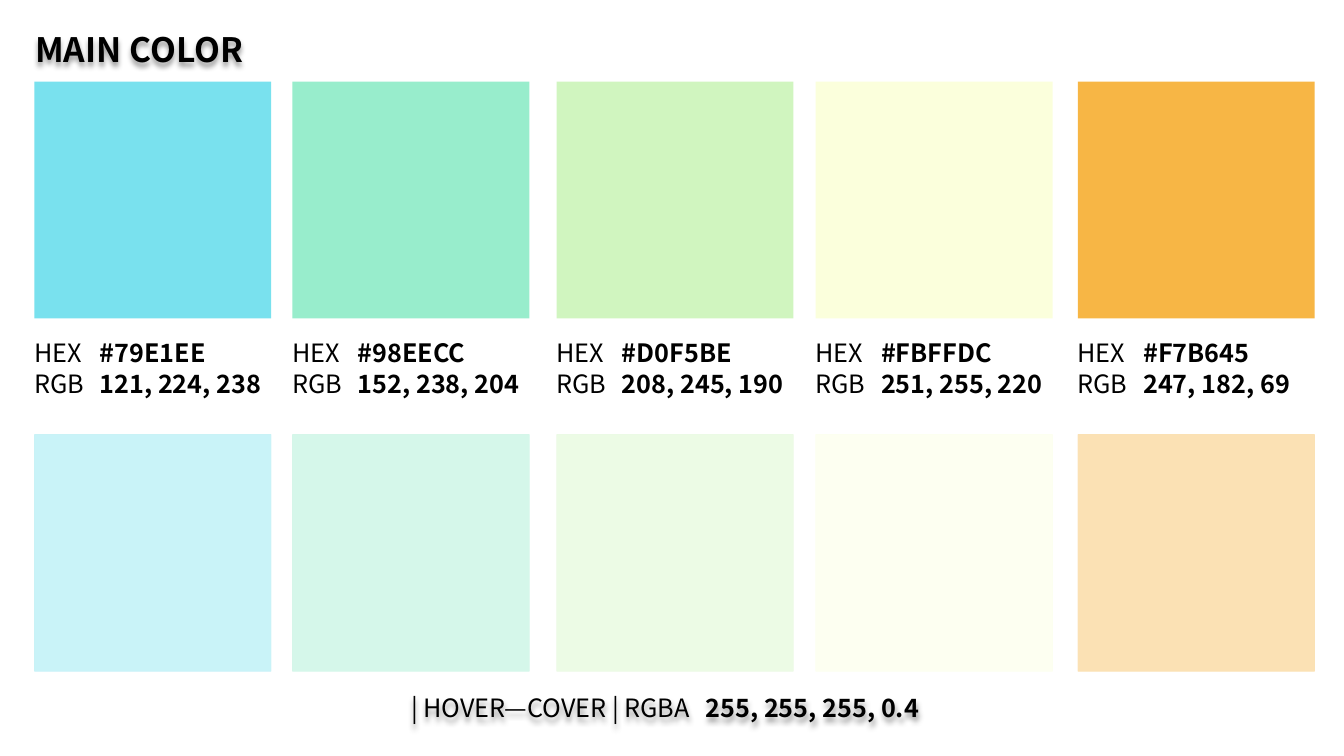
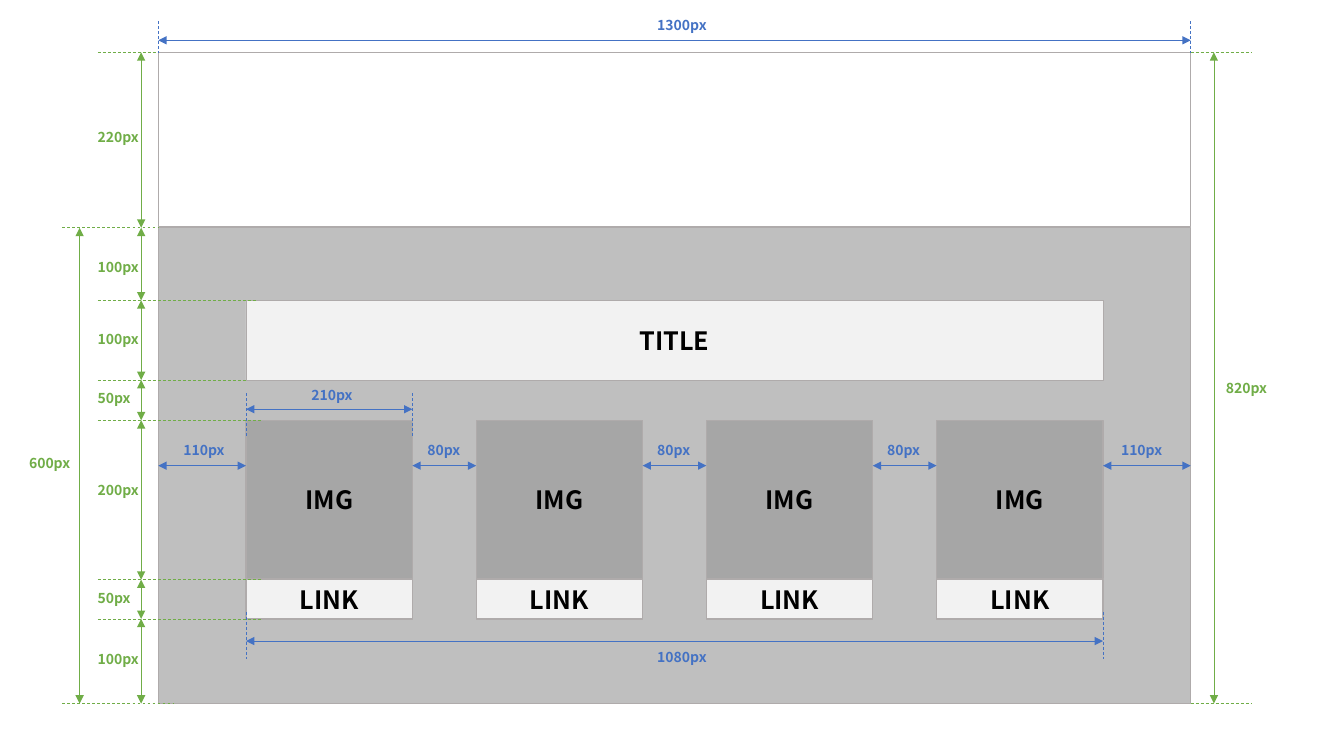
from lxml.etree import SubElement
from pptx import Presentation
from pptx.dml.color import RGBColor
from pptx.enum.dml import MSO_LINE_DASH_STYLE as Dash
from pptx.enum.shapes import MSO_CONNECTOR as Connector, MSO_SHAPE as Shape
from pptx.enum.text import MSO_ANCHOR as Anchor, MSO_AUTO_SIZE as AutoSize, PP_ALIGN as Align
from pptx.oxml.ns import qn
from pptx.util import Pt

PX = 9144
FONT = "Noto Sans CJK KR"
COLORS = {
    "sky": "79E1EE", "mint": "98EDCC", "lime": "D0F5BF", "cream": "FBFFDC", "orange": "F7B645",
    "text": "000000", "white": "FFFFFF", "border": "AFABAB", "body": "BFBFBF",
    "panel": "F2F2F2", "image": "A6A6A6", "green": "70AD47", "blue": "4472C4",
}

# Palette slide: left, fill, hex label, rgb label
SWATCHES = [
    (34, "sky", "#79E1EE", "121, 224, 238"),
    (290, "mint", "#98EECC", "152, 238, 204"),
    (552, "lime", "#D0F5BE", "208, 245, 190"),
    (809, "cream", "#FBFFDC", "251, 255, 220"),
    (1069, "orange", "#F7B645", "247, 182, 69"),
]
SWATCH_SIZE, MAIN_TOP, HOVER_TOP = 235, 81, 431
COVER_OPACITY = 60

# Wireframe slide: left, top, width, height
HEADER = (157, 52, 1024, 173)
BODY = (157, 226, 1024, 472)
TITLE_BAR = (244, 298, 850, 79)
CARD_COUNT, CARD_WIDTH = 4, 165
CARD_PARTS = [("IMG", 417, 157, "image"), ("LINK", 575, 39, "panel")]
MARGIN_LABELS = [("110px", 172), ("80px", 414), ("80px", 642), ("80px", 870), ("110px", 1102)]

# Vertical measures: x, top, bottom, label, label left, label top
ROW_MARKS = [52, 226, 298, 377, 417, 575, 614, 698]
ROW_LABELS = [("220px", 123), ("100px", 252), ("100px", 323), ("50px", 382),
              ("200px", 473), ("50px", 580), ("100px", 640)]
HEIGHTS = [(140, top, bottom, label, 87, label_top)
           for top, bottom, (label, label_top) in zip(ROW_MARKS, ROW_MARKS[1:], ROW_LABELS)]
HEIGHTS += [(79, 226, 698, "600px", 19, 446), (1204, 52, 698, "820px", 1206, 372)]

# Horizontal measures: y, left, right, label, label left, label top, guide top, guide bottom
WIDTHS = [
    (40, 157, 1181, "1300px", 642, 11, 21, 53),
    (406, 244, 409, "210px", 299, 379, 390, 433),
    (636, 244, 1094, "1080px", 642, 638, 607, 654),
]

# Horizontal guides: y, left, right
GUIDES = [
    (52, 97, 157), (226, 62, 157), (298, 97, 254), (377, 97, 244), (417, 97, 259),
    (575, 97, 259), (614, 97, 259), (698, 62, 172), (52, 1181, 1241), (698, 1181, 1241),
]


def rgb(name):
    return RGBColor.from_string(COLORS[name])


def emu(*lengths):
    return [round(length * PX) for length in lengths]


def style_run(run, size, color="text", bold=False):
    run.font.name = FONT
    run.font.size = Pt(size)
    run.font.bold = bold
    run.font.color.rgb = rgb(color)


def add_box(slide, box, fill=None, border=None, width=1, text=None, opacity=None):
    shape = slide.shapes.add_shape(Shape.RECTANGLE, *emu(*box))
    shape.shadow.inherit = False
    if fill:
        shape.fill.solid()
        shape.fill.fore_color.rgb = rgb(fill)
    else:
        shape.fill.background()
    if opacity:
        color = shape.fill._xPr.find(".//" + qn("a:srgbClr"))
        SubElement(color, qn("a:alpha"), val=str(opacity * 1000))
    if border:
        shape.line.color.rgb = rgb(border)
        shape.line.width = Pt(width)
    else:
        shape.line.fill.background()
    if text:
        shape.text_frame.text = text
        shape.text_frame.vertical_anchor = Anchor.MIDDLE
        paragraph = shape.text_frame.paragraphs[0]
        paragraph.alignment = Align.CENTER
        style_run(paragraph.runs[0], 18, bold=True)
    return shape


def add_label(slide, box, text, color):
    shape = slide.shapes.add_textbox(*emu(*box))
    shape.text_frame.word_wrap = True
    shape.text_frame.text = text
    style_run(shape.text_frame.paragraphs[0].runs[0], 10, color, bold=True)


def add_values(slide, box, rows, tab):
    """Write rows of a plain name and a bold value lined up at a tab stop."""
    shape = slide.shapes.add_textbox(*emu(*box))
    frame = shape.text_frame
    frame.word_wrap = True
    for index, (name, value) in enumerate(rows):
        paragraph = frame.add_paragraph() if index else frame.paragraphs[0]
        stops = SubElement(paragraph._p.get_or_add_pPr(), qn("a:tabLst"))
        SubElement(stops, qn("a:tab"), pos=str(tab * PX), algn="l")
        for text, bold in ((name + "\t", False), (value, True)):
            run = paragraph.add_run()
            run.text = text
            style_run(run, 18, bold=bold)
    return shape


def add_soft_shadow(shape):
    shape.fill.background()
    effects = SubElement(shape._element.spPr, qn("a:effectLst"))
    shadow = SubElement(effects, qn("a:outerShdw"), blurRad="50800", dist="38100",
                        dir="5400000", algn="t", rotWithShape="0")
    color = SubElement(shadow, qn("a:srgbClr"), val=COLORS["text"])
    SubElement(color, qn("a:alpha"), val="40000")


def add_line(slide, start, end, color, arrows=False):
    line = slide.shapes.add_connector(Connector.STRAIGHT, *emu(*start, *end))
    line.line.color.rgb = rgb(color)
    line.line.width = Pt(0.5)
    if arrows:
        outline = line.line._get_or_add_ln()
        for tag in ("a:headEnd", "a:tailEnd"):
            SubElement(outline, qn(tag), type="triangle")
    else:
        line.line.dash_style = Dash.DASH
    SubElement(line._element.spPr, qn("a:effectLst"))
    return line


def build_palette(presentation):
    slide = presentation.slides.add_slide(presentation.slide_layouts[5])

    # Title
    title = slide.shapes.title
    title.left, title.top, title.width, title.height = emu(25, 16, 254, 65)
    title.text_frame.text = "MAIN COLOR"
    title.text_frame.auto_size = AutoSize.NONE
    title.text_frame.vertical_anchor = Anchor.MIDDLE
    paragraph = title.text_frame.paragraphs[0]
    paragraph.alignment = Align.LEFT
    style_run(paragraph.runs[0], 24, bold=True)
    add_soft_shadow(title)

    # Main swatches, and the same colours under a white cover
    for left, fill, hex_value, rgb_value in SWATCHES:
        add_box(slide, (left, MAIN_TOP, SWATCH_SIZE, SWATCH_SIZE), fill)
        add_values(slide, (left - 10, 330, 264, 71),
                   [("HEX", hex_value), ("RGB", rgb_value)], 65)
        hover = (left, HOVER_TOP, SWATCH_SIZE, SWATCH_SIZE)
        add_box(slide, hover, fill)
        add_box(slide, hover, "white", opacity=COVER_OPACITY)

    # Cover caption
    caption = add_values(slide, (398, 682, 549, 40),
                         [("| HOVER—COVER | RGBA", "255, 255, 255, 0.4")], 292)
    add_soft_shadow(caption)


def build_wireframe(presentation):
    slide = presentation.slides.add_slide(presentation.slide_layouts[6])

    # Page areas
    add_box(slide, HEADER, border="border")
    body = add_box(slide, BODY, "body", "border")
    add_box(slide, TITLE_BAR, "panel", "border", 0.5, "TITLE")

    # Cards spread evenly under the title bar
    bar_left, _, bar_width, _ = TITLE_BAR
    pitch = (bar_width - CARD_WIDTH) / (CARD_COUNT - 1)
    card_lefts = [bar_left + index * pitch for index in range(CARD_COUNT)]
    for left in card_lefts:
        for text, top, height, fill in CARD_PARTS:
            add_box(slide, (left, top, CARD_WIDTH, height), fill, "border", text=text)

    # Gaps between the cards and the page edges
    page_left, body_top, page_width, body_height = BODY
    middle = body_top + body_height / 2
    starts = [page_left] + [left + CARD_WIDTH for left in card_lefts]
    ends = card_lefts + [page_left + page_width]
    gaps = []
    for start, end, (label, label_left) in zip(starts, ends, MARGIN_LABELS):
        gaps.append(add_line(slide, (start, middle), (end, middle), "blue", arrows=True))
        add_label(slide, (label_left, 433, 72, 27), label, "blue")
    gaps[0].begin_connect(body, 1)
    gaps[-1].end_connect(body, 3)

    # Heights
    for y, left, right in GUIDES:
        add_line(slide, (left, y), (right, y), "green")
    for x, top, bottom, label, label_left, label_top in HEIGHTS:
        add_line(slide, (x, top), (x, bottom), "green", arrows=True)
        add_label(slide, (label_left, label_top, 63, 27), label, "green")

    # Widths
    for y, left, right, label, label_left, label_top, guide_top, guide_bottom in WIDTHS:
        add_line(slide, (left, y), (right, y), "blue", arrows=True)
        for x in (left, right):
            add_line(slide, (x, guide_top), (x, guide_bottom), "blue")
        add_label(slide, (label_left, label_top, 72, 27), label, "blue")


def main():
    presentation = Presentation()
    presentation.slide_width, presentation.slide_height = emu(1333, 750)
    build_palette(presentation)
    build_wireframe(presentation)
    presentation.save("out.pptx")


if __name__ == "__main__":
    main()
